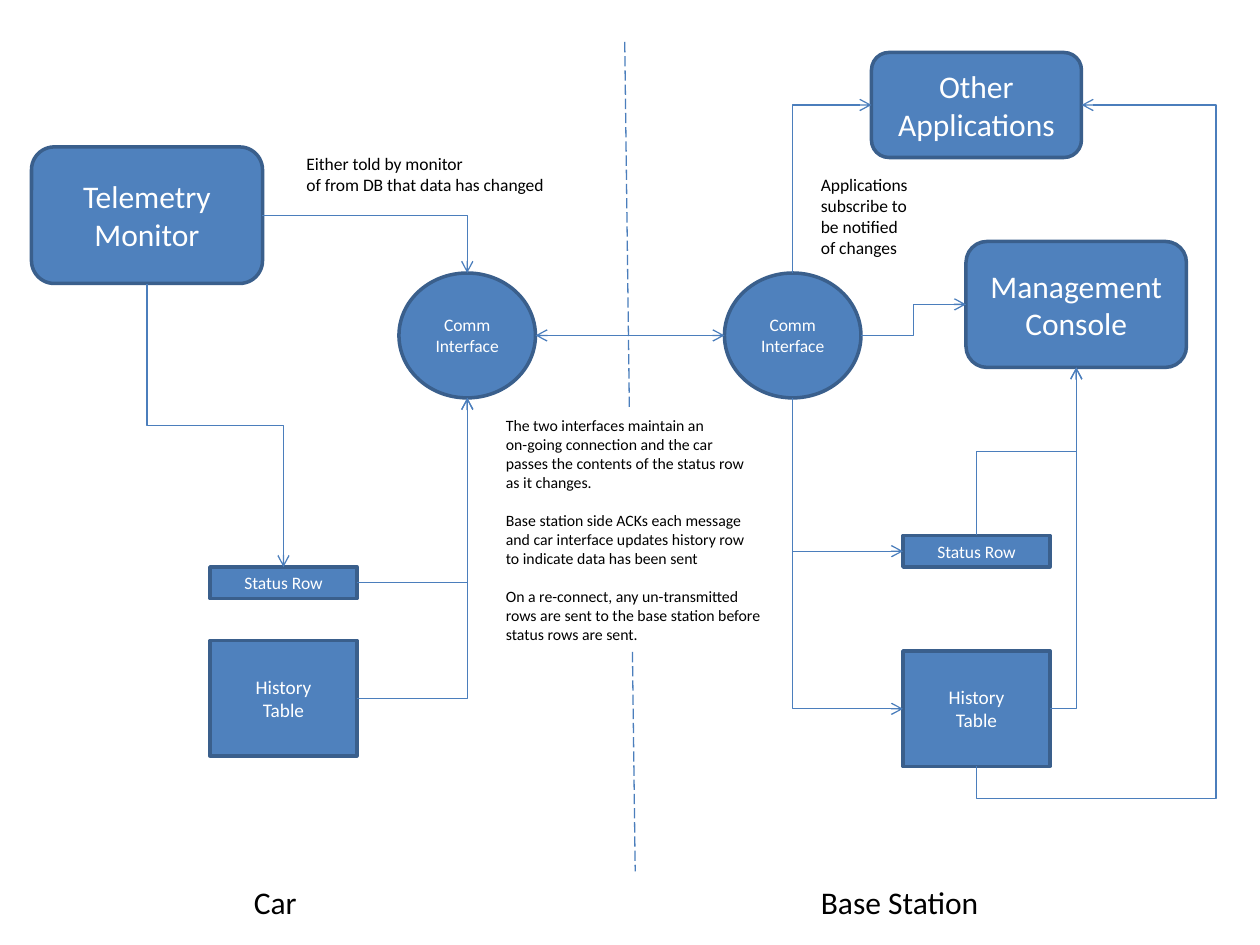
"""Build the slide of telemetry data flow between the car and the base station."""
from lxml.etree import SubElement
from pptx import Presentation
from pptx.dml.color import RGBColor
from pptx.enum.dml import MSO_LINE
from pptx.enum.shapes import MSO_CONNECTOR, MSO_SHAPE
from pptx.enum.text import MSO_ANCHOR, MSO_AUTO_SIZE, PP_ALIGN
from pptx.oxml.ns import qn
from pptx.util import Inches, Pt

THEME = dict(font="Calibri", fill="4F81BD", edge="3A5F8C", link="4B7EBC",
             dark="000000", light="FFFFFF",
             big=18, table=11, small=10, note=9, thick=2, thin=0.75)
COLS, ROWS = 120, 90
ROUND, RECT, OVAL = (MSO_SHAPE.ROUNDED_RECTANGLE, MSO_SHAPE.RECTANGLE,
                     MSO_SHAPE.OVAL)

NODES = {
    "monitor": (ROUND, (3, 14, 22, 13), "Telemetry Monitor", "big"),
    "car row": (RECT, (20, 54, 14, 3), "Status Row", "small"),
    "car table": (RECT, (20, 61, 14, 11), "History\nTable", "table"),
    "car comm": (OVAL, (38, 26, 13, 11.9), "Comm\nInterface", "small"),
    "base comm": (OVAL, (69, 26, 13, 11.9), "Comm\nInterface", "small"),
    "base row": (RECT, (86, 51, 14, 3), "Status Row", "small"),
    "base table": (RECT, (86, 62, 14, 11), "History\nTable", "table"),
    "console": (ROUND, (92, 23, 21, 12), "Management Console", "big"),
    "apps": (ROUND, (83, 5, 20, 10), "Other Applications", "big"),
}
LINKS = [
    ("monitor", "bottom", "car row", "top"),
    ("monitor", "right", "car comm", "top"),
    ("car row", "right", "car comm", "bottom"),
    ("car table", "right", "car comm", "bottom"),
    ("base comm", "bottom", "base table", "left"),
    ("base comm", "bottom", "base row", "left"),
    ("base comm", "top", "apps", "left"),
    ("base comm", "right", "console", "left"),
    ("base row", "top", "console", "bottom"),
    ("base table", "right", "console", "bottom"),
    ("base table", "bottom", "apps", "right", -0.048, 2.28),
]
LABELS = [
    ((23, 83.5, 6.6, 4.8), "Car", "big"),
    ((77, 83.5, 17.6, 4.8), "Base Station", "big"),
    ((77, 16, 10.8, 9.2),
     "Applications\nsubscribe to\nbe notified\nof changes", "small"),
    ((28, 14, 25.3, 5.3),
     "Either told by monitor\nof from DB that data has changed", "small"),
]
NOTE = [
    "The two interfaces maintain an\non-going connection and the car\n"
    "passes the contents of the status row\nas it changes.",
    "Base station side ACKs each message\n"
    "and car interface updates history row\nto indicate data has been sent",
    "On a re-connect, any un-transmitted\n"
    "rows are sent to the base station before\nstatus rows are sent.",
]
SITES = {"top": (0.5, 0), "bottom": (0.5, 1), "left": (0, 0.5), "right": (1, 0.5)}

deck = Presentation()
deck.slide_width, deck.slide_height = Inches(10), Inches(7.5)
slide = deck.slides.add_slide(deck.slide_layouts[6])
shapes = slide.shapes


def place(col, row):
    return (round(col * deck.slide_width / COLS),
            round(row * deck.slide_height / ROWS))


def frame(area):
    return *place(*area[:2]), *place(*area[2:])


def color(name):
    return RGBColor.from_string(THEME[name])


def write(shape, groups, size, ink="dark", align=PP_ALIGN.LEFT,
          anchor=MSO_ANCHOR.TOP, wrap=False, gap=0):
    body = shape.text_frame
    body.word_wrap, body.vertical_anchor = wrap, anchor
    body.auto_size = MSO_AUTO_SIZE.NONE if wrap else MSO_AUTO_SIZE.SHAPE_TO_FIT_TEXT
    body.text = "\n".join(groups)
    heads, count = set(), 0
    for group in groups:
        heads.add(count)
        count += len(group.split("\n"))
    for index, para in enumerate(body.paragraphs):
        para.alignment = align
        para.space_before = Pt(gap if index and index in heads else 0)
        font = para.runs[0].font
        font.name, font.size = THEME["font"], Pt(THEME[size])
        font.color.rgb = color(ink)


def draw(kind, area, fill, edge=None):
    shape = shapes.add_shape(kind, *frame(area))
    shape.shadow.inherit = False
    shape.fill.solid()
    shape.fill.fore_color.rgb = color(fill)
    if edge:
        shape.line.color.rgb = color(edge)
        shape.line.width = Pt(THEME["thick"])
    else:
        shape.line.fill.background()
    return shape


def join(kind, start, end, arrows=()):
    wire = shapes.add_connector(kind, *place(*start), *place(*end))
    wire.line.color.rgb = color("link")
    wire.line.width = Pt(THEME["thin"])
    for arrow in arrows:
        SubElement(wire.line._get_or_add_ln(), qn("a:" + arrow), type="arrow")
    SubElement(wire._element.spPr, qn("a:effectLst"))
    return wire


def port(node, side):
    left, top, wide, high = NODES[node][1]
    across, down = SITES[side]
    return left + across * wide, top + down * high


def bend(source, leave, target, enter, *shares):
    start, end = port(source, leave), port(target, enter)
    wire = join(MSO_CONNECTOR.ELBOW, start, end, ["tailEnd"])
    props = wire._element.spPr
    upright = leave in ("top", "bottom")
    turned = upright != (enter in ("top", "bottom"))
    geom = props.find(qn("a:prstGeom"))
    geom.set("prst", f"bentConnector{4 if shares else 2 if turned else 3}")
    for index, share in enumerate(shares, 1):
        SubElement(geom.find(qn("a:avLst")), qn("a:gd"), name=f"adj{index}",
                   fmla=f"val {round(share * 100000)}")
    if upright:
        wide, high = wire.width, wire.height
        wire.left += (wide - high) // 2
        wire.top += (high - wide) // 2
        wire.width, wire.height = high, wide
        form = props.find(qn("a:xfrm"))
        form.set("rot", "5400000")
        form.set("flipH", str(int(end[1] < start[1])))
        form.set("flipV", str(int(end[0] > start[0])))


split = join(MSO_CONNECTOR.STRAIGHT, (59.5, 4), (60.5, 83))
split.line.dash_style = MSO_LINE.LONG_DASH
for kind, area, text, size in NODES.values():
    write(draw(kind, area, "fill", "edge"), [text], size, ink="light",
          align=PP_ALIGN.CENTER, anchor=MSO_ANCHOR.MIDDLE, wrap=True)
for link in LINKS:
    bend(*link)
join(MSO_CONNECTOR.STRAIGHT, port("car comm", "right"), port("base comm", "left"),
     ["headEnd", "tailEnd"])
for area, text, size in LABELS:
    write(shapes.add_textbox(*frame(area)), [text], size)
write(draw(RECT, (47, 39, 27, 23), "light"), NOTE, "note", gap=11)
deck.save("out.pptx")
